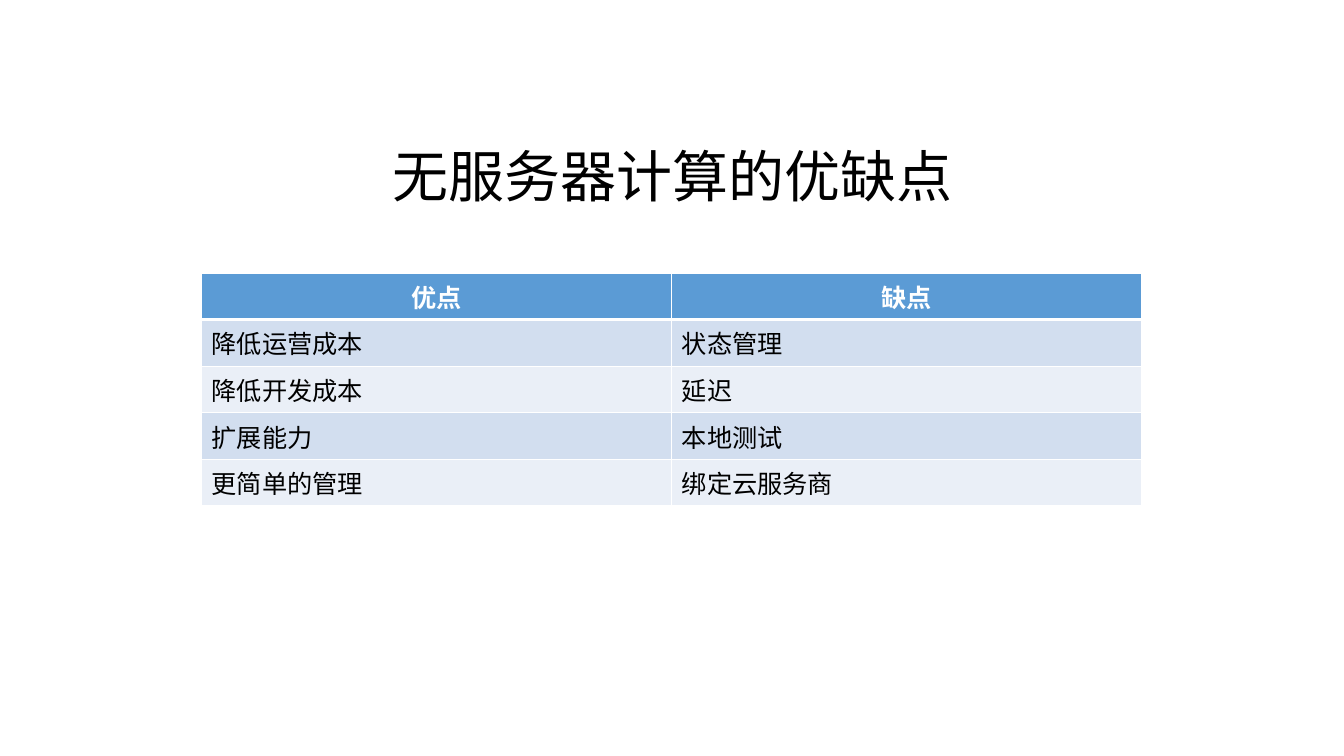
from lxml.etree import SubElement
from pptx import Presentation
from pptx.dml.color import RGBColor
from pptx.enum.text import MSO_ANCHOR, MSO_AUTO_SIZE, PP_ALIGN
from pptx.oxml.ns import qn
from pptx.util import Cm, Pt

THEME = {
    "font": "Arial",
    "title_size": Pt(40),
    "table_size": Pt(18),
    "text": RGBColor.from_string("000000"),
    "header_text": RGBColor.from_string("FFFFFF"),
    "header_fill": RGBColor.from_string("5B9BD5"),
    "band_fills": [RGBColor.from_string("EAEFF7"), RGBColor.from_string("D2DEEF")],
    "border": "FFFFFF",
    "border_width": Pt(1),
    "header_border_width": Pt(3),
}

ROWS = [
    ("优点", "缺点"),
    ("降低运营成本", "状态管理"),
    ("降低开发成本", "延迟"),
    ("扩展能力", "本地测试"),
    ("更简单的管理", "绑定云服务商"),
]


def write_text(paragraph, text, alignment, font_format):
    paragraph.alignment = alignment
    run = paragraph.add_run()
    run.text = text
    run.font.color.rgb = font_format["color"]
    for name in ("name", "size", "bold"):
        setattr(run.font, name, font_format[name])


def add_border(cell, side, width):
    line = SubElement(cell._tc.get_or_add_tcPr(), qn(f"a:{side}"), w=str(int(width)))
    fill = SubElement(line, qn("a:solidFill"))
    SubElement(fill, qn("a:srgbClr"), val=THEME["border"])


presentation = Presentation()
presentation.slide_width = Cm(33.87)
presentation.slide_height = Cm(19.05)
slide = presentation.slides.add_slide(presentation.slide_layouts[6])

row_height = Cm(1.06)
table_shape = slide.shapes.add_table(
    len(ROWS), len(ROWS[0]), Cm(5.08), Cm(6.88), Cm(23.7), row_height * len(ROWS)
)
table = table_shape.table
for row in table.rows:
    row.height = row_height

for row_index, texts in enumerate(ROWS):
    is_header = row_index == 0
    for column_index, text in enumerate(texts):
        cell = table.cell(row_index, column_index)
        for side in ("lnL", "lnR", "lnT", "lnB"):
            at_header_edge = (row_index, side) in ((0, "lnB"), (1, "lnT"))
            width = "header_border_width" if at_header_edge else "border_width"
            add_border(cell, side, THEME[width])
        cell.fill.solid()
        cell.fill.fore_color.rgb = (
            THEME["header_fill"] if is_header else THEME["band_fills"][row_index % 2]
        )
        write_text(
            cell.text_frame.paragraphs[0],
            text,
            PP_ALIGN.CENTER if is_header else PP_ALIGN.LEFT,
            {
                "name": THEME["font"],
                "size": THEME["table_size"],
                "bold": is_header,
                "color": THEME["header_text"] if is_header else THEME["text"],
            },
        )

title = slide.shapes.add_textbox(Cm(5.82), Cm(3.43), Cm(22.25), Cm(1.96))
frame_format = {
    "word_wrap": True,
    "auto_size": MSO_AUTO_SIZE.SHAPE_TO_FIT_TEXT,
    "vertical_anchor": MSO_ANCHOR.TOP,
}
for name, value in frame_format.items():
    setattr(title.text_frame, name, value)
write_text(
    title.text_frame.paragraphs[0],
    "无服务器计算的优缺点",
    PP_ALIGN.CENTER,
    {
        "name": THEME["font"],
        "size": THEME["title_size"],
        "bold": False,
        "color": THEME["text"],
    },
)

presentation.save("out.pptx")
